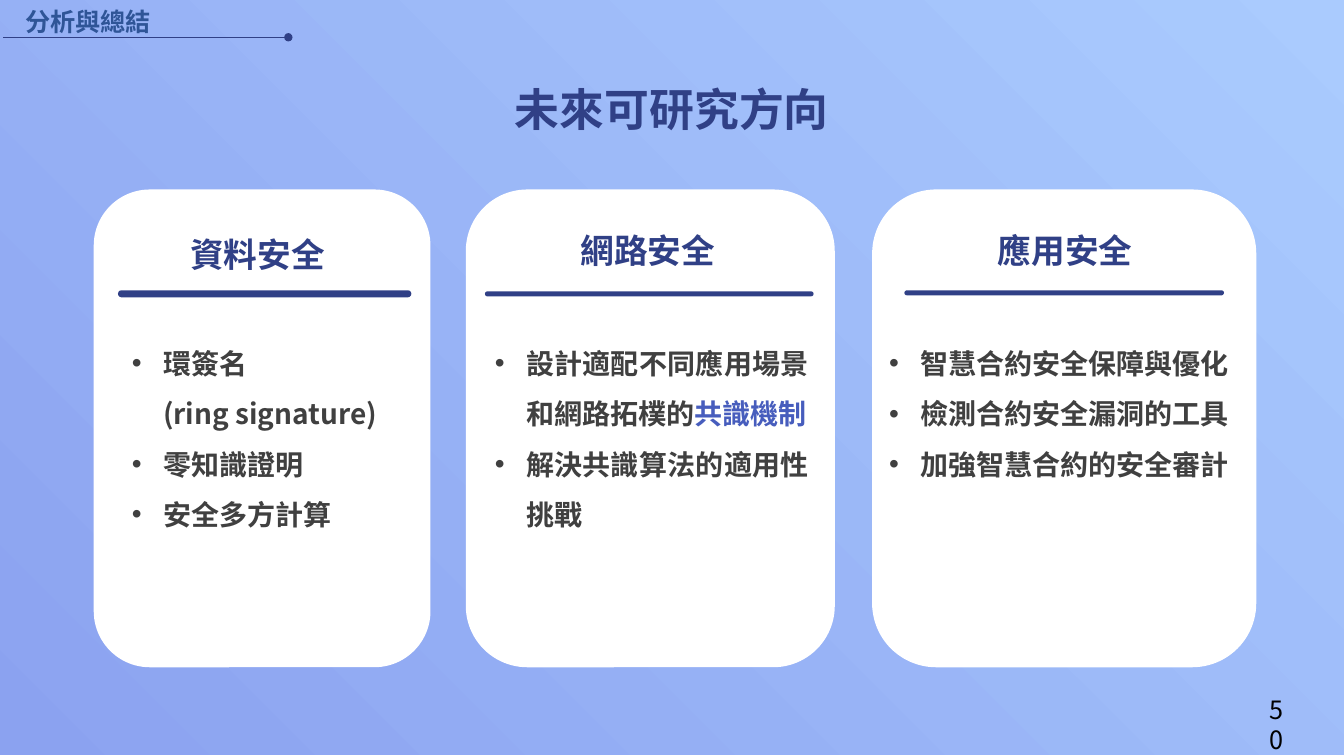
from dataclasses import dataclass

import lxml.etree
import pptx
import pptx.dml.color
import pptx.enum.shapes
import pptx.enum.text
import pptx.oxml.ns
import pptx.util

Inches = pptx.util.Inches
Pt = pptx.util.Pt
qn = pptx.oxml.ns.qn
Align = pptx.enum.text.PP_ALIGN
Shape = pptx.enum.shapes.MSO_SHAPE

NAVY = "304086"
GREY = "404040"
SANS_TC = "Noto Sans CJK TC"
SANS_SC = "Noto Sans CJK SC"
CARD_TOP, CARD_HEIGHT = 1.88, 4.74
LIST_TOP, LIST_INDENT = 3.22, 0.31


@dataclass(frozen=True)
class Area:
    left: float
    top: float
    width: float
    height: float

    def lengths(self) -> tuple:
        return tuple(Inches(v) for v in (self.left, self.top, self.width, self.height))


@dataclass(frozen=True)
class Item:
    text: str
    accent: str = ""
    bullet: bool = True


@dataclass(frozen=True)
class Card:
    left: float
    width: float
    heading: str
    heading_area: Area
    rule: Area
    list_area: Area
    items: tuple[Item, ...]


CARDS = (
    Card(0.93, 3.34, "資料安全", Area(1.73, 2.27, 1.65, 0.5),
         Area(1.17, 2.88, 2.91, 0.07), Area(1.21, LIST_TOP, 2.78, 2.06),
         (Item("環簽名"), Item("(ring signature)", bullet=False),
          Item("零知識證明"), Item("安全多方計算"))),
    Card(4.62, 3.66, "網路安全", Area(5.12, 2.23, 2.61, 0.5),
         Area(4.81, 2.89, 3.26, 0.05), Area(4.81, LIST_TOP, 3.31, 2.06),
         (Item("設計適配不同應用場景和網路拓樸的", "共識機制"),
          Item("解決共識算法的適用性挑戰"))),
    Card(8.65, 3.81, "應用安全", Area(9.23, 2.23, 2.67, 0.5),
         Area(8.97, 2.88, 3.17, 0.05), Area(8.72, LIST_TOP, 3.6, 1.55),
         (Item("智慧合約安全保障與優化"), Item("檢測合約安全漏洞的工具"),
          Item("加強智慧合約的安全審計"))),
)


def colour(value: str) -> pptx.dml.color.RGBColor:
    return pptx.dml.color.RGBColor.from_string(value)


def add_span(para, text: str, *, size: float, fill: str = NAVY, bold: bool = True,
             font: str = SANS_TC, east_font: str = SANS_TC) -> None:
    span = para.add_run()
    span.text = text
    span.font.size = Pt(size)
    span.font.bold = bold
    span.font.name = font
    span.font.color.rgb = colour(fill)
    east = lxml.etree.SubElement(span.font._element, qn("a:ea"))
    east.set("typeface", east_font)


def add_box(shapes, area: Area):
    box = shapes.add_textbox(*area.lengths())
    box.text_frame.word_wrap = True
    return box


def add_label(shapes, text: str, area: Area, *, align=Align.LEFT, **style) -> None:
    para = add_box(shapes, area).text_frame.paragraphs[0]
    para.alignment = align
    add_span(para, text, **style)


def add_panel(shapes, kind, area: Area, fill: str = ""):
    panel = shapes.add_shape(kind, *area.lengths())
    panel.shadow.inherit = False
    panel.line.fill.background()
    if fill:
        panel.fill.solid()
        panel.fill.fore_color.rgb = colour(fill)
    return panel


def indent_item(para, bullet: bool) -> None:
    properties = para._p.get_or_add_pPr()
    properties.set("marL", str(Inches(LIST_INDENT)))
    properties.set("indent", str(-Inches(LIST_INDENT) if bullet else 0))
    if bullet:
        font = lxml.etree.SubElement(properties, qn("a:buFont"))
        font.set("typeface", "Arial")
        mark = lxml.etree.SubElement(properties, qn("a:buChar"))
        mark.set("char", "•")


def add_list(shapes, area: Area, items: tuple[Item, ...]) -> None:
    frame = add_box(shapes, area).text_frame
    for index, item in enumerate(items):
        para = frame.add_paragraph() if index else frame.paragraphs[0]
        para.alignment = Align.JUSTIFY
        para.line_spacing = 1.5
        indent_item(para, item.bullet)
        add_span(para, item.text, size=20, fill=GREY)
        if item.accent:
            add_span(para, item.accent, size=20, fill="475DBD")


def add_card(shapes, card: Card) -> None:
    add_panel(shapes, Shape.ROUNDED_RECTANGLE,
              Area(card.left, CARD_TOP, card.width, CARD_HEIGHT), "FFFFFF")
    add_label(shapes, card.heading, card.heading_area, align=Align.CENTER, size=24)
    rule = add_panel(shapes, Shape.ROUNDED_RECTANGLE, card.rule, NAVY)
    rule.adjustments[0] = 0.5
    add_list(shapes, card.list_area, card.items)


def add_backdrop(shapes) -> None:
    backdrop = add_panel(shapes, Shape.RECTANGLE, Area(0, 0, 13.33, 7.49))
    backdrop.fill.gradient()
    backdrop.fill.gradient_angle = 45
    for stop, value in zip(backdrop.fill.gradient_stops, ("8BA2F0", "AACBFE")):
        stop.color.rgb = colour(value)


def add_section_mark(shapes) -> None:
    group = shapes.add_group_shape().shapes
    add_label(group, "分析與總結", Area(0.15, 0.01, 4.04, 0.4), size=18,
              fill="2F5597", font="Times New Roman")
    line = group.add_connector(pptx.enum.shapes.MSO_CONNECTOR.STRAIGHT,
                               Inches(0.03), Inches(0.37), Inches(2.86), Inches(0.37))
    line.line.color.rgb = colour(NAVY)
    line.line.width = Pt(0.5)
    tail = lxml.etree.SubElement(line.line._get_or_add_ln(), qn("a:tailEnd"))
    tail.set("type", "oval")
    lxml.etree.SubElement(line._element.spPr, qn("a:effectLst"))


def place_title(title, text: str, area: Area) -> None:
    title.left, title.top, title.width, title.height = area.lengths()
    frame = title.text_frame
    frame.word_wrap = True
    frame.auto_size = pptx.enum.text.MSO_AUTO_SIZE.NONE
    frame.vertical_anchor = pptx.enum.text.MSO_ANCHOR.TOP
    para = frame.paragraphs[0]
    para.alignment = Align.CENTER
    add_span(para, text, size=32, font=SANS_SC, east_font=SANS_SC)
    title._element.getparent().append(title._element)


def main() -> None:
    deck = pptx.Presentation()
    deck.slide_width = Inches(13.33)
    deck.slide_height = Inches(7.5)
    page = deck.slides.add_slide(deck.slide_layouts[5])
    add_backdrop(page.shapes)
    for card in CARDS:
        add_card(page.shapes, card)
    place_title(page.shapes.title, "未來可研究方向", Area(2.92, 0.76, 7.49, 0.64))
    add_section_mark(page.shapes)
    add_label(page.shapes, "50", Area(12.49, 6.84, 0.35, 0.4), size=18,
              fill="000000", bold=False, font=SANS_SC, east_font=SANS_SC)
    deck.save("out.pptx")


if __name__ == "__main__":
    main()
